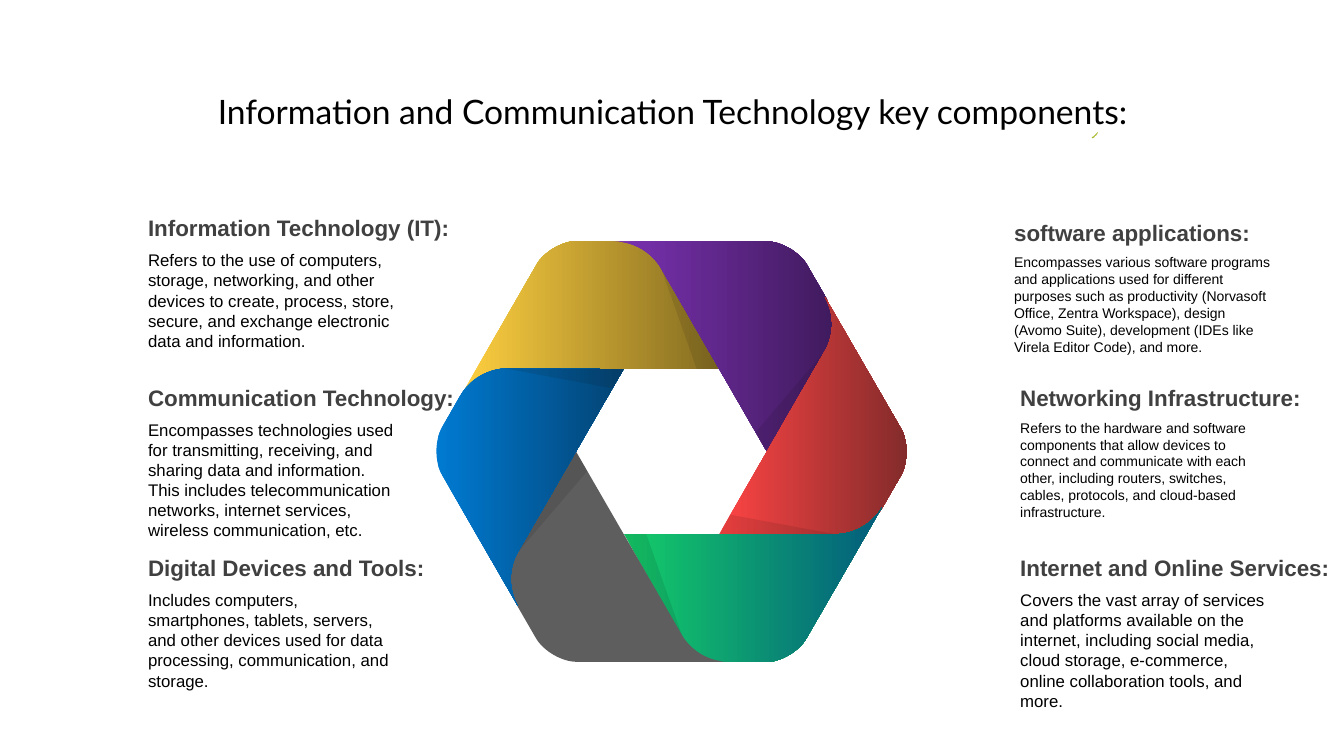
from math import cos, radians, sin

from lxml import etree
from pptx import Presentation
from pptx.dml.color import RGBColor
from pptx.enum.text import MSO_ANCHOR, MSO_AUTO_SIZE, PP_ALIGN
from pptx.oxml.ns import qn
from pptx.util import Inches, Pt

MIDDLE = MSO_ANCHOR.MIDDLE
GROW = MSO_AUTO_SIZE.SHAPE_TO_FIT_TEXT
FIXED = MSO_AUTO_SIZE.NONE
CENTER = PP_ALIGN.CENTER
LEFT = PP_ALIGN.LEFT

TITLE = "Information and Communication Technology key components:"
HUB = (6.66, 4.48)

TOPICS = [
    (1.37, 2.08, 3.19, 2.68, 12, "Information Technology (IT):",
     "Refers to the use of computers, storage, networking, and other devices "
     "to create, process, store, secure, and exchange electronic data and information."),
    (1.37, 3.76, 3.24, 2.68, 12, "Communication Technology:",
     "Encompasses technologies used for transmitting, receiving, and sharing data "
     "and information. This includes telecommunication networks, internet services, "
     "wireless communication, etc."),
    (1.37, 5.45, 2.95, 2.68, 12, "Digital Devices and Tools:",
     "Includes computers, smartphones, tablets, servers, and other devices used for "
     "data processing, communication, and storage."),
    (9.96, 2.12, 2.66, 2.75, 10, "software applications:",
     "Encompasses various software programs and applications used for different "
     "purposes such as productivity (Norvasoft Office, Zentra Workspace), design "
     "(Avomo Suite), development (IDEs like Virela Editor Code), and more."),
    (10.02, 3.76, 2.99, 2.68, 10, "Networking Infrastructure:",
     "Refers to the hardware and software components that allow devices to connect "
     "and communicate with each other, including routers, switches, cables, "
     "protocols, and cloud-based infrastructure."),
    (10.02, 5.45, 3.28, 2.68, 12, "Internet and Online Services:",
     "Covers the vast array of services and platforms available on the internet, "
     "including social media, cloud storage, e-commerce, online collaboration tools, "
     "and more."),
]

BANDS = [
    ("FECF40", "846C21"),
    ("7B32B2", "401A5D"),
    ("FE4444", "832B2B"),
    ("14CD68", "035C7D"),
    ("5E5E5E", "5E5E5E"),
    ("007BD3", "034373"),
]

BAND = [
    [(6.55, 2.64)],
    [(6.45, 2.49), (6.28, 2.39), (6.09, 2.39)],
    [(5.73, 2.39)],
    [(5.58, 2.39), (5.39, 2.5), (5.32, 2.63)],
    [(4.57, 3.93)],
    [(4.67, 3.76), (4.84, 3.67), (5.01, 3.66)],
    [(7.13, 3.66)],
]
FOLD = [[(6.55, 2.64)], [(6.91, 3.66)], [(7.13, 3.66)]]
LEAF = [
    [(10.85, 1.35)],
    [(10.85, 1.35), (10.84, 1.36), (10.83, 1.36)],
    [(10.83, 1.37)],
    [(10.84, 1.37)],
    [(10.85, 1.37), (10.86, 1.36), (10.86, 1.35)],
    [(10.87, 1.35), (10.88, 1.34), (10.88, 1.33)],
    [(10.89, 1.32)],
    [(10.89, 1.31), (10.88, 1.31), (10.88, 1.32)],
    [(10.87, 1.33)],
]


def color(code):
    return RGBColor.from_string(code)


def add_text(slide, text, box, size, code, font="Arial", bold=False,
             wrap=True, fit=GROW, align=LEFT):
    frame = slide.shapes.add_textbox(*map(Inches, box)).text_frame
    frame.word_wrap = wrap
    frame.auto_size = fit
    frame.text = text
    para = frame.paragraphs[0]
    para.alignment = align
    style = para.runs[0].font
    style.name = font
    style.size = Pt(size)
    style.bold = bold
    style.color.rgb = color(code)
    return frame


def add_title(slide):
    frame = add_text(slide, TITLE, (0.92, 0.4, 11.5, 1.45), 24, "000000",
                     font="Lato", fit=FIXED, align=CENTER)
    frame.vertical_anchor = MIDDLE
    frame.paragraphs[0].line_spacing = 0.9


def add_topic(slide, left, top, wide, width, size, head, body):
    add_text(slide, body, (left, top + 0.35, width, 1.11), size, "000000")
    add_text(slide, head, (left, top, wide, 0.37), 16, "404040",
             bold=True, wrap=False)


def turn(parts, angle):
    c, s = cos(radians(angle)), sin(radians(angle))
    hx, hy = HUB
    return [[(hx + (x - hx) * c - (y - hy) * s, hy + (x - hx) * s + (y - hy) * c)
             for x, y in part] for part in parts]


def bend(shape, parts):
    lines = iter(list(shape.element.iter(qn("a:lnTo"))))
    for part in parts[1:]:
        group = [next(lines) for _ in part]
        if len(part) == 3:
            curve = etree.Element(qn("a:cubicBezTo"))
            group[0].addprevious(curve)
            for line in group:
                curve.append(line[0])
                line.getparent().remove(line)


def add_form(slide, parts, first, last=None, alpha=None):
    spots = [(Inches(x), Inches(y)) for part in parts for x, y in part]
    maker = slide.shapes.build_freeform(*spots[0], scale=1.0)
    maker.add_line_segments(spots[1:], close=True)
    shape = maker.convert_to_shape()
    bend(shape, parts)
    shape.shadow.inherit = False
    shape.line.fill.background()
    fill = shape.fill
    if last and last != first:
        fill.gradient()
        fill.gradient_angle = 0
        for stop, code in zip(fill.gradient_stops, (first, last)):
            stop.color.rgb = color(code)
    else:
        fill.solid()
        fill.fore_color.rgb = color(first)
    if alpha:
        tone = shape.element.spPr.find(qn("a:solidFill")).find(qn("a:srgbClr"))
        etree.SubElement(tone, qn("a:alpha")).set("val", str(alpha * 1000))


def add_ring(slide):
    for index, (first, last) in enumerate(BANDS):
        angle = index * 60
        add_form(slide, turn(BAND, angle), first, last)
        add_form(slide, turn(FOLD, angle), "0D0D0D", alpha=10)


def main():
    deck = Presentation()
    deck.slide_width = Inches(13.33)
    deck.slide_height = Inches(7.5)
    slide = deck.slides.add_slide(deck.slide_layouts[6])
    add_title(slide)
    add_form(slide, LEAF, "A6B727")
    for topic in TOPICS:
        add_topic(slide, *topic)
    add_ring(slide)
    deck.save("out.pptx")


if __name__ == "__main__":
    main()
